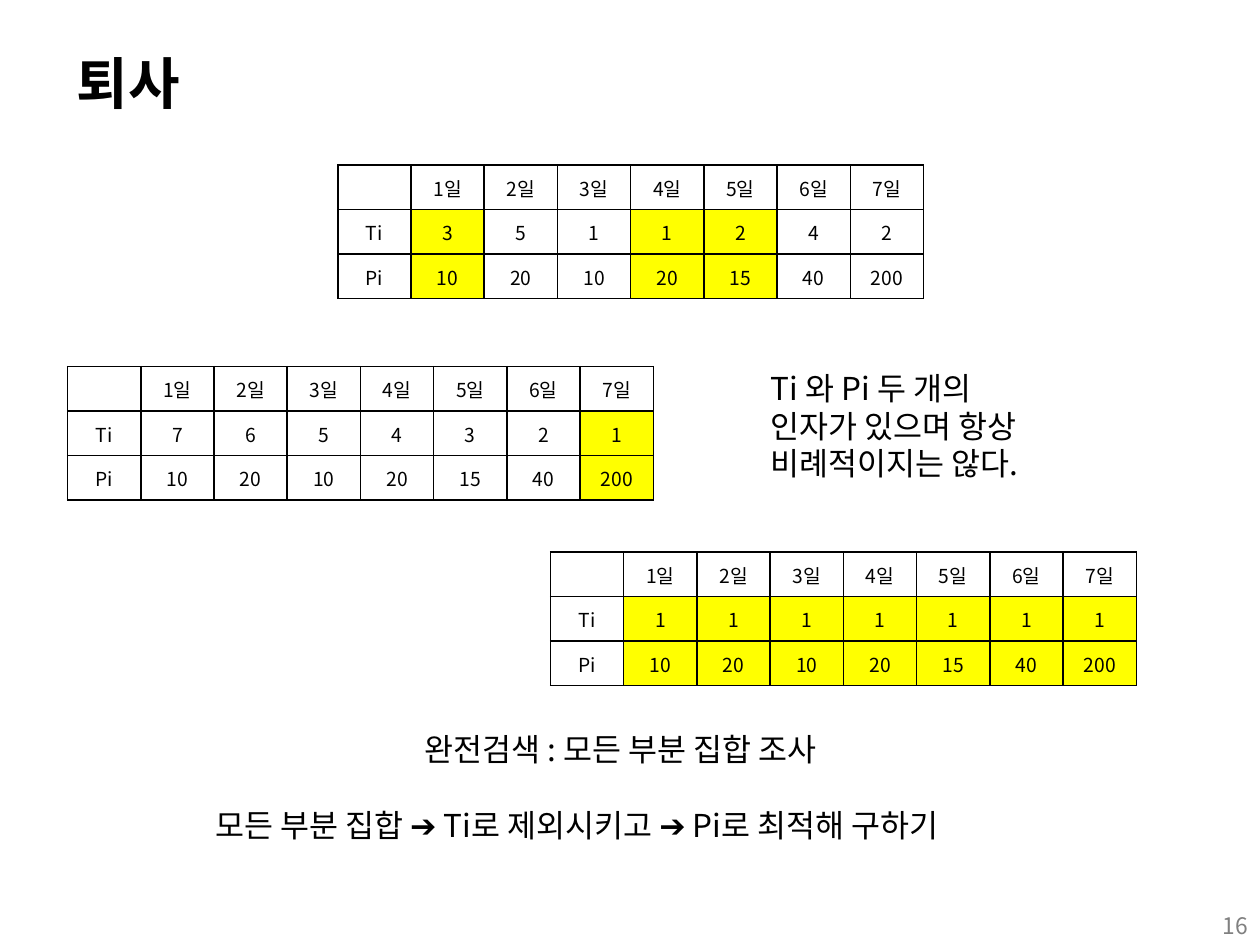
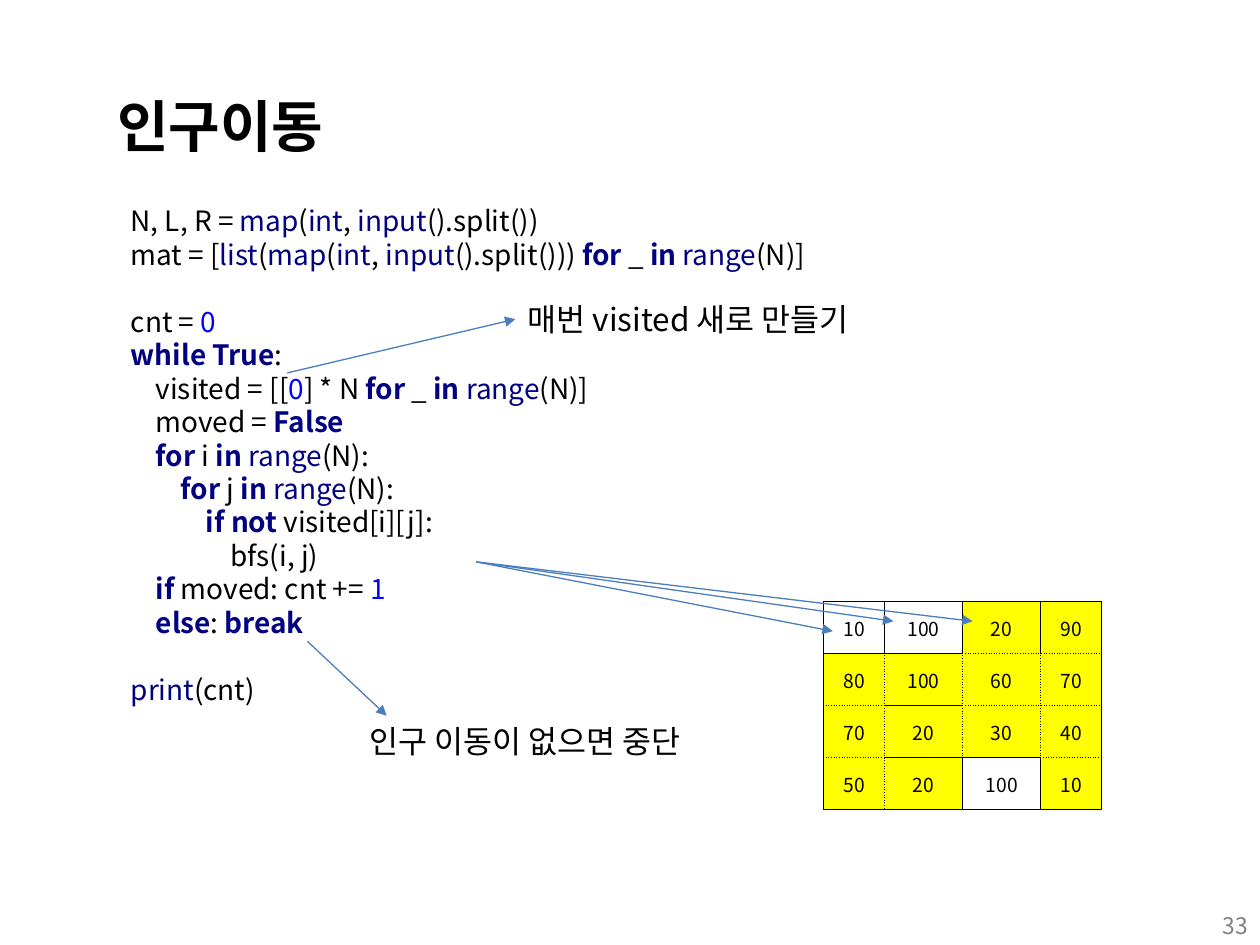
"""Builds two algorithm lecture slides: quitting-day schedules and population moves."""
from itertools import groupby

from lxml import etree
from pptx import Presentation
from pptx.dml.color import RGBColor
from pptx.enum.shapes import MSO_CONNECTOR, MSO_SHAPE
from pptx.enum.text import MSO_ANCHOR, PP_ALIGN
from pptx.oxml.ns import qn
from pptx.util import Pt

RECT = MSO_SHAPE.RECTANGLE
LINE = MSO_CONNECTOR.STRAIGHT
MID = MSO_ANCHOR.MIDDLE
LEFT, MITTE, RIGHT = PP_ALIGN.LEFT, PP_ALIGN.CENTER, PP_ALIGN.RIGHT

FACE = "Noto Sans CJK KR"
BLACK = RGBColor(0x00, 0x00, 0x00)
WHITE = RGBColor(0xFF, 0xFF, 0xFF)
GRAY = RGBColor(0x80, 0x80, 0x80)
NAVY = RGBColor(0x00, 0x00, 0x80)
BLUE = RGBColor(0x00, 0x00, 0xFF)
STEEL = RGBColor(0x4B, 0x7E, 0xBC)
YELLOW = RGBColor(0xFF, 0xFF, 0x00)

DAYS = [""] + [f"{day}일" for day in range(1, 8)]
PAY = [10, 20, 10, 20, 15, 40, 200]
PLANS = [
    (193, 94.4, [3, 5, 1, 1, 2, 4, 2], {1, 4, 5}),
    (38.6, 209.5, [7, 6, 5, 4, 3, 2, 1], {7}),
    (314.6, 315.4, [1] * 7, set(range(1, 8))),
]
NOTES = [
    (235.4, 414, 292.3, "완전검색 : 모든 부분 집합 조사"),
    (433.4, 207.4, 176, "Ti 와 Pi 두 개의 인자가 있으며 항상 비례적이지는 않다."),
    (115.9, 457.2, 481.7, "모든 부분 집합 ➔ Ti로 제외시키고 ➔ Pi로 최적해 구하기"),
]

CODE = """N, L, R = map(int, input().split())
mat = [list(map(int, input().split())) for _ in range(N)]

cnt = 0
while True:
    visited = [[0] * N for _ in range(N)]
    moved = False
    for i in range(N):
        for j in range(N):
            if not visited[i][j]:
                bfs(i, j)
    if moved: cnt += 1
    else: break

print(cnt)"""
KEYS = {"for", "in", "while", "True", "False", "if", "not", "else", "break"}
CALLS = {"map", "int", "input", "list", "range", "print"}

PEOPLE = [
    [10, 100, 20, 90],
    [80, 100, 60, 70],
    [70, 20, 30, 40],
    [50, 20, 100, 10],
]
LOW, HIGH = 10, 50
SIDES = {"L": (0, -1), "R": (0, 1), "T": (-1, 0), "B": (1, 0)}
FAN = (272.2, 321.1)
TIPS = [(475.9, 360.7), (510.5, 355), (555.8, 355)]


def add_run(para, text, size, color=BLACK, bold=False):
    run = para.add_run()
    run.text = text
    font = run.font
    font.size, font.bold, font.name = Pt(size), bold, FACE
    font.color.rgb = color
    etree.SubElement(font._element, qn("a:ea"), typeface=FACE)


def add_text(slide, x, y, w, h, text, size=18, lead=21.5,
             color=BLACK, bold=False, align=LEFT):
    box = slide.shapes.add_textbox(Pt(x), Pt(y), Pt(w), Pt(h))
    box.text_frame.word_wrap = True
    para = box.text_frame.paragraphs[0]
    para.alignment, para.line_spacing = align, Pt(lead)
    add_run(para, text, size, color, bold)
    return box


def add_page(deck, title, x, y, num):
    slide = deck.slides.add_slide(deck.slide_layouts[6])
    add_text(slide, 552.2, 517, 167.8, 28.8, str(num), 13, 16, GRAY, align=RIGHT)
    add_text(slide, x, y, 687.6, 62.6, title, 32, 41, bold=True)
    return slide


def add_grid(slide, x, y, cols, high, rows, lit, dash, thick):
    frame = slide.shapes.add_table(len(rows), len(cols), Pt(x), Pt(y),
                                   Pt(sum(cols)), Pt(high * len(rows)))
    table = frame.table
    table.first_row = table.horz_banding = False
    for col, wide in zip(table.columns, cols):
        col.width = Pt(wide)
    for r, row in enumerate(rows):
        table.rows[r].height = Pt(high)
        for c, value in enumerate(row):
            cell = table.cell(r, c)
            fill_cell(cell, str(value))
            for side in SIDES:
                add_edge(cell, side, thick, dash(r, c, side))
            if lit(r, c):
                cell.fill.solid()
                cell.fill.fore_color.rgb = YELLOW
            else:
                cell.fill.background()


def fill_cell(cell, text):
    cell.vertical_anchor = MID
    cell.margin_left = cell.margin_right = cell.margin_top = Pt(0.7)
    cell.margin_bottom = Pt(0)
    para = cell.text_frame.paragraphs[0]
    para.alignment = MITTE
    if text:
        add_run(para, text, 11)
    else:
        etree.SubElement(para._p, qn("a:endParaRPr"), sz="1100")


def add_edge(cell, side, thick, dash):
    edge = etree.SubElement(cell._tc.get_or_add_tcPr(), qn(f"a:ln{side}"),
                            w=str(Pt(thick)))
    fill = etree.SubElement(edge, qn("a:solidFill"))
    etree.SubElement(fill, qn("a:srgbClr"), val=str(BLACK))
    etree.SubElement(edge, qn("a:prstDash"), val="sysDot" if dash else "solid")


def add_arrow(slide, start, end, goal=None):
    arrow = slide.shapes.add_connector(LINE, *map(Pt, start + end))
    if goal is not None:
        arrow.end_connect(goal, 1)
    arrow.line.color.rgb = STEEL
    arrow.line.width = Pt(0.75)
    etree.SubElement(arrow.line._get_or_add_ln(), qn("a:tailEnd"), type="triangle")
    etree.SubElement(arrow._element.spPr, qn("a:effectLst"))


def add_code(slide, x, y, w, h):
    box = slide.shapes.add_shape(RECT, Pt(x), Pt(y), Pt(w), Pt(h))
    box.shadow.inherit = False
    box.fill.solid()
    box.fill.fore_color.rgb = WHITE
    box.line.fill.background()
    frame = box.text_frame
    frame.word_wrap, frame.vertical_anchor = True, MID
    para = frame.paragraphs[0]
    para.alignment, para.line_spacing = LEFT, Pt(19.15)
    for n, line in enumerate(CODE.split("\n")):
        if n:
            para.add_line_break()
        for _, part in groupby(line, str.isalnum):
            word = "".join(part)
            color = (NAVY if word in KEYS | CALLS
                     else BLUE if word.isdigit() else BLACK)
            add_run(para, word, 16, color, word in KEYS)


def is_open(r, c, side):
    down, over = SIDES[side]
    r2, c2 = r + down, c + over
    inside = 0 <= r2 < len(PEOPLE) and 0 <= c2 < len(PEOPLE[0])
    return inside and LOW <= abs(PEOPLE[r][c] - PEOPLE[r2][c2]) <= HIGH


def add_plans(deck):
    slide = add_page(deck, "퇴사", 36.7, 21.6, 16)
    for x, y, times, picks in PLANS:
        rows = [DAYS, ["Ti"] + times, ["Pi"] + PAY]
        add_grid(slide, x, y, [41.85] * 8, 25.4, rows,
                 lambda r, c: r > 0 and c in picks,
                 lambda r, c, side: False, 1)
    for x, y, w, text in NOTES:
        add_text(slide, x, y, w, 28.8, text)


def add_moves(deck):
    slide = add_page(deck, "인구이동", 59.8, 46.1, 33)
    add_code(slide, 67.7, 110.9, 609.1, 298.1)
    fresh = add_text(slide, 294.5, 168, 238.3, 28.8, "매번 visited 새로 만들기")
    add_arrow(slide, (164.2, 213.1), (294.5, 182.4), fresh)
    add_grid(slide, 470.6, 343.6, [34.9, 44.6, 44.6, 34.9], 29.7, PEOPLE,
             lambda r, c: any(is_open(r, c, side) for side in SIDES), is_open, 0.5)
    for tip in TIPS:
        add_arrow(slide, FAN, tip)
    add_text(slide, 203.8, 409, 215.3, 28.8, "인구 이동이 없으면 중단")
    add_arrow(slide, (175.7, 366.5), (221, 409))


def main():
    deck = Presentation()
    deck.slide_width, deck.slide_height = Pt(720), Pt(540)
    add_plans(deck)
    add_moves(deck)
    deck.save("out.pptx")


if __name__ == "__main__":
    main()
